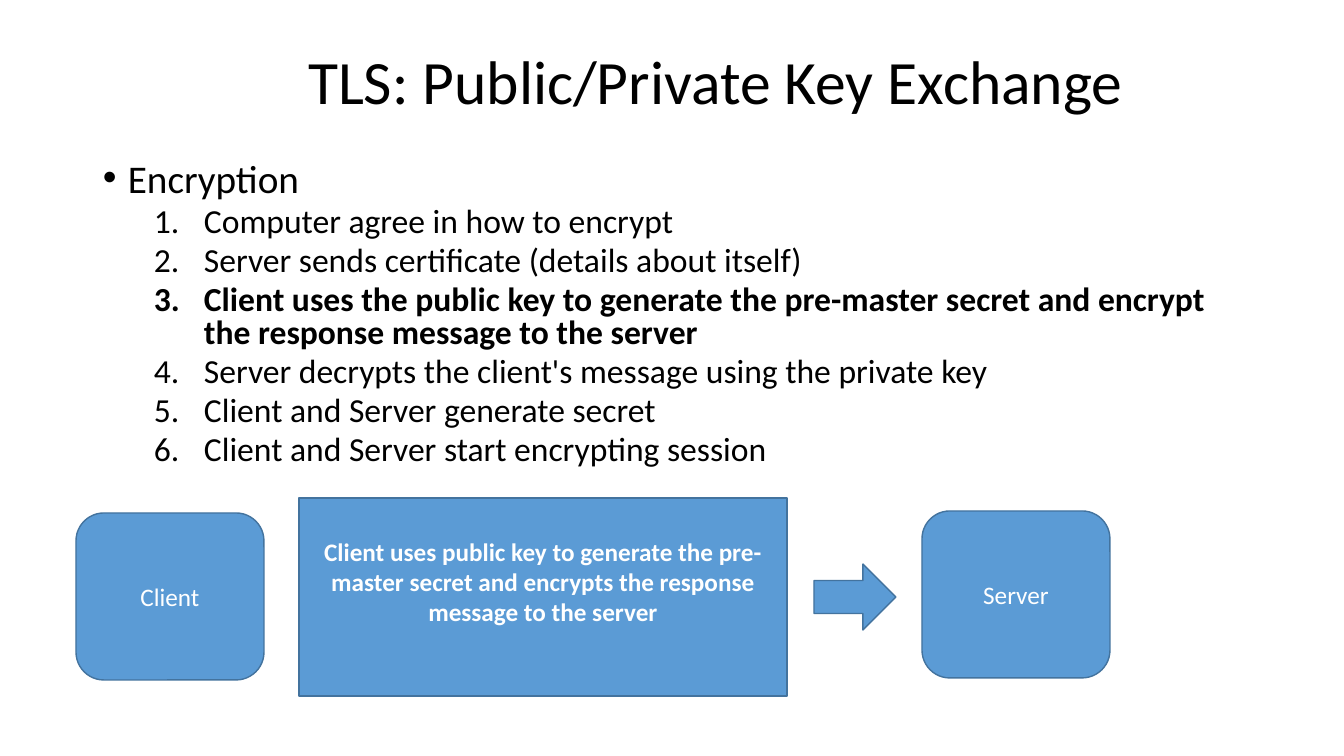
from lxml.etree import SubElement
from pptx import Presentation
from pptx.dml.color import RGBColor
from pptx.enum.shapes import MSO_SHAPE
from pptx.enum.text import MSO_ANCHOR, MSO_AUTO_SIZE, PP_ALIGN
from pptx.oxml.ns import qn
from pptx.util import Pt

EMU_PER_PX = 914400 / 100.8
COLORS = {"text": "000000", "fill": "5B9BD5", "outline": "43739E", "label": "FFFFFF"}
FONT = "Calibri"
STEPS = [
    "Computer agree in how to encrypt",
    "Server sends certificate (details about itself)",
    "Client uses the public key to generate the pre-master secret and encrypt "
    "the response message to the server",
    "Server decrypts the client's message using the private key",
    "Client and Server generate secret",
    "Client and Server start encrypting session",
]
CURRENT_STEP = STEPS[2]
MESSAGE = ("Client uses public key to generate the pre-master secret and encrypts "
           "the response message to the server")


def px(length):
    return round(length * EMU_PER_PX)


def color(name):
    return RGBColor.from_string(COLORS[name])


def apply_format(target, values):
    for name, value in values.items():
        setattr(target, name, value)


def write(paragraph, text, size, ink="text", bold=False, **layout):
    run = paragraph.add_run()
    run.text = text
    apply_format(run.font, {"name": FONT, "size": Pt(size), "bold": bold})
    run.font.color.rgb = color(ink)
    apply_format(paragraph, layout)


def set_marker(paragraph, tag, attribute, value, indent, hanging):
    """Give the paragraph a bullet or number hanging left of its indent."""
    properties = paragraph._p.get_or_add_pPr()
    properties.set("marL", str(px(indent)))
    properties.set("indent", str(-px(hanging)))
    SubElement(properties, qn("a:buFont"), typeface="Arial" if tag == "a:buChar" else "+mj-lt")
    SubElement(properties, qn(tag), {attribute: value})


def place_title(slide, left, top, width, height):
    title = slide.shapes.title
    apply_format(title, {"left": px(left), "top": px(top),
                         "width": px(width), "height": px(height)})
    apply_format(title.text_frame, {"vertical_anchor": MSO_ANCHOR.MIDDLE, "word_wrap": True,
                                    "auto_size": MSO_AUTO_SIZE.NONE})
    write(title.text_frame.paragraphs[0], "TLS: Public/Private Key Exchange", 44,
          alignment=PP_ALIGN.LEFT, line_spacing=0.9)


def add_steps(slide, left, top, width, height):
    frame = slide.shapes.add_textbox(px(left), px(top), px(width), px(height)).text_frame
    frame.word_wrap = True
    heading = frame.paragraphs[0]
    write(heading, "Encryption", 28, line_spacing=0.8, space_before=Pt(10))
    set_marker(heading, "a:buChar", "char", "•", 25, 25)
    for text in STEPS:
        step = frame.add_paragraph()
        write(step, text, 24, bold=text == CURRENT_STEP,
              level=1, line_spacing=0.8, space_before=Pt(5))
        set_marker(step, "a:buAutoNum", "type", "arabicPeriod", 101, 50)


def add_block(slide, kind, left, top, width, height, text="", bold=False, bottom_inset=5):
    block = slide.shapes.add_shape(kind, px(left), px(top), px(width), px(height))
    block.shadow.inherit = False
    block.fill.solid()
    block.fill.fore_color.rgb = color("fill")
    block.line.color.rgb = color("outline")
    block.line.width = Pt(1)
    if text:
        apply_format(block.text_frame, {"word_wrap": True, "margin_bottom": px(bottom_inset),
                                        "vertical_anchor": MSO_ANCHOR.MIDDLE})
        write(block.text_frame.paragraphs[0], text, 18, "label", bold,
              alignment=PP_ALIGN.CENTER)


def add_exchange(slide, left, top):
    """Draw the client, its message and the arrow to the server."""
    for name, x, y in [("Client", 0, 15), ("Server", 846, 13)]:
        add_block(slide, MSO_SHAPE.ROUNDED_RECTANGLE, left + x, top + y, 188, 167, name)
    add_block(slide, MSO_SHAPE.RECTANGLE, left + 223, top, 488, 198, MESSAGE,
              bold=True, bottom_inset=36)
    add_block(slide, MSO_SHAPE.RIGHT_ARROW, left + 738, top + 66, 82, 66)


def main():
    presentation = Presentation()
    apply_format(presentation, {"slide_width": px(1344), "slide_height": px(756)})
    slide = presentation.slides.add_slide(presentation.slide_layouts[5])
    place_title(slide, 298, 12, 995, 146)
    add_steps(slide, 93, 158, 1159, 335)
    add_exchange(slide, 76, 498)
    presentation.save("out.pptx")


if __name__ == "__main__":
    main()
